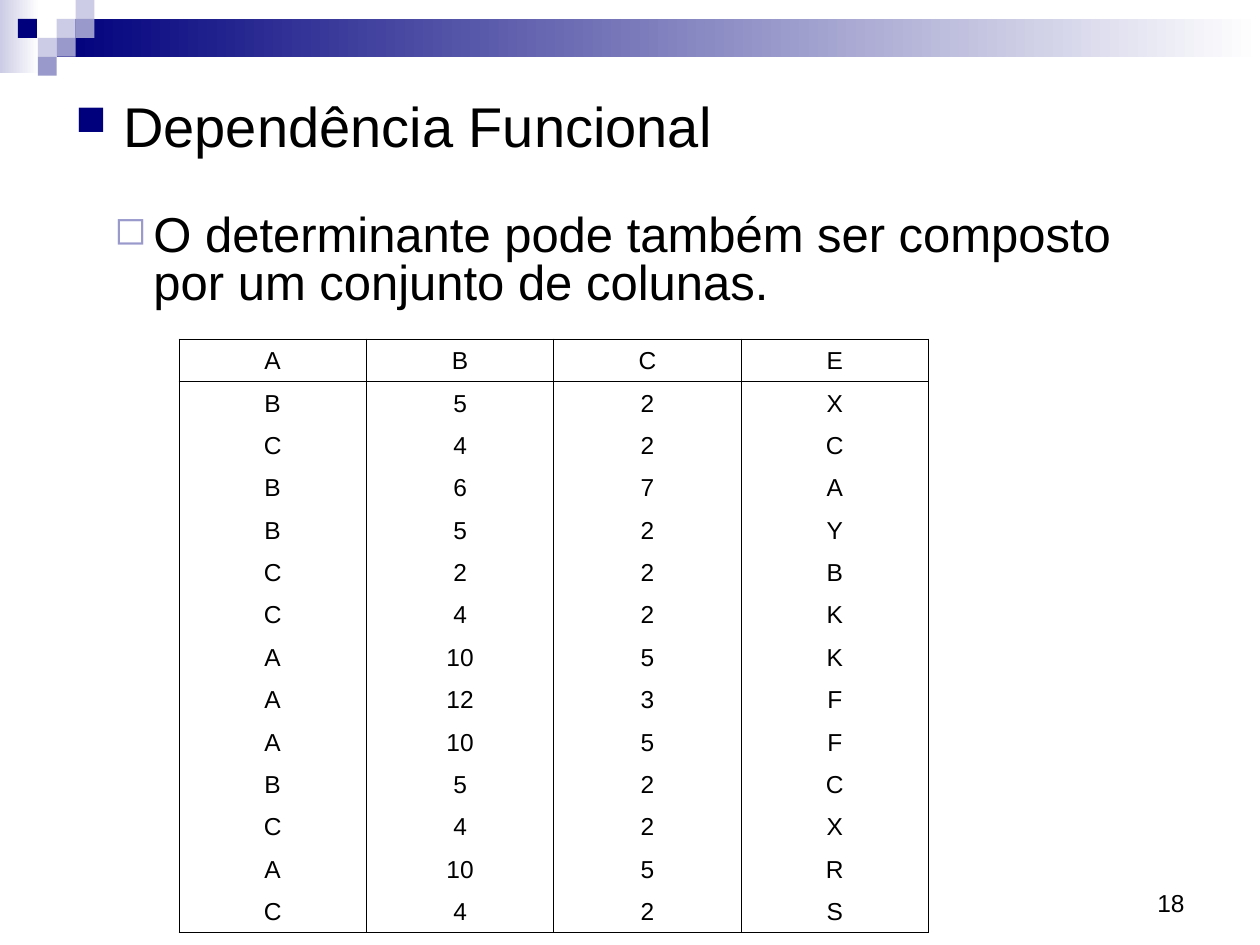
"""Build the slide on functional dependency with a composite determinant."""
import dataclasses
import typing

import pptx
import pptx.dml.color
import pptx.enum.shapes
import pptx.enum.text
import pptx.oxml
import pptx.oxml.ns
import pptx.util

COLOURS = {"navy": "00007D", "mid": "9999CC", "pale": "CCCCE6", "white": "FFFFFF", "black": "000000"}
FONT = "Arial"
WIDTH, HEIGHT = 10, 7.5
UNIT = 0.15
NO_STYLE = "{2D5ABB26-0587-4C30-8999-92F81FD0307C}"
THIN, THICK = 0.45, 0.96
HEADER = "A B C E"
RECORDS = (
    "B 5 2 X", "C 4 2 C", "B 6 7 A", "B 5 2 Y", "C 2 2 B", "C 4 2 K", "A 10 5 K",
    "A 12 3 F", "A 10 5 F", "B 5 2 C", "C 4 2 X", "A 10 5 R", "C 4 2 S",
)
ALIGN = pptx.enum.text.PP_ALIGN
ANCHOR = pptx.enum.text.MSO_ANCHOR


@dataclasses.dataclass(frozen=True)
class Tile:
    column: float
    row: float
    colour: str
    columns: float = 1
    rows: float = 1
    fades: bool = False


@dataclasses.dataclass(frozen=True)
class Bullet:
    symbol: str
    colour: str
    percent: int
    indent: float
    hang: float
    level: int = 0


@dataclasses.dataclass(frozen=True)
class TextBlock:
    left: float
    top: float
    width: float
    height: float
    text: str
    size: int
    align: ALIGN = ALIGN.LEFT
    anchor: ANCHOR = ANCHOR.TOP
    before: int = 0
    spacing: float = 1.0
    bullet: typing.Optional[Bullet] = None


TILES = (
    Tile(0, 0, "pale", 2.07, 3.87, True),
    Tile(3, 1, "navy", WIDTH / UNIT - 3, 2, True),
    Tile(3, 1, "pale"),
    Tile(4, 0, "pale"),
    Tile(4, 1, "mid"),
    Tile(2, 2, "pale"),
    Tile(0.95, 1, "navy"),
    Tile(3, 2, "mid"),
    Tile(2, 3, "mid"),
)
BLOCKS = (
    TextBlock(7.17, 6.83, 2.33, 0.5, "18", 14, ALIGN.RIGHT, ANCHOR.BOTTOM),
    TextBlock(0.5, 0.68, 9.19, 0.94, "Dependência Funcional", 32, before=8,
              bullet=Bullet("■", "navy", 75, 0.38, 0.38)),
    TextBlock(0.31, 1.66, 9.19, 1.42,
              "O determinante pode também ser composto por um conjunto de colunas.",
              28, before=7, spacing=0.8, bullet=Bullet("◻", "mid", 80, 0.81, 0.31, 1)),
)


def rgb(name: str) -> pptx.dml.color.RGBColor:
    return pptx.dml.color.RGBColor.from_string(COLOURS[name])


def draw_tile(page, tile: Tile) -> None:
    lengths = (tile.column, tile.row, tile.columns, tile.rows)
    shape = page.shapes.add_shape(
        pptx.enum.shapes.MSO_SHAPE.RECTANGLE, *(pptx.util.Inches(n * UNIT) for n in lengths))
    shape.shadow.inherit = False
    shape.line.fill.background()
    if tile.fades:
        shape.fill.gradient()
        shape.fill.gradient_angle = 0
        for stop, colour in zip(shape.fill.gradient_stops, (tile.colour, "white")):
            stop.color.rgb = rgb(colour)
    else:
        shape.fill.solid()
        shape.fill.fore_color.rgb = rgb(tile.colour)


def add_span(para, text: str, size: int) -> None:
    span = para.add_run()
    span.text = text
    span.font.name = FONT
    span.font.size = pptx.util.Pt(size)
    span.font.color.rgb = rgb("black")


def set_bullet(para, bullet: Bullet) -> None:
    para.level = bullet.level
    properties = para._p.get_or_add_pPr()
    properties.set("marL", str(pptx.util.Inches(bullet.indent)))
    properties.set("indent", str(-pptx.util.Inches(bullet.hang)))
    space = pptx.oxml.ns.nsdecls("a")
    for markup in (
        f'<a:buClr {space}><a:srgbClr val="{COLOURS[bullet.colour]}"/></a:buClr>',
        f'<a:buSzPct {space} val="{bullet.percent * 1000}"/>',
        f'<a:buChar {space} char="{bullet.symbol}"/>',
    ):
        properties.append(pptx.oxml.parse_xml(markup))


def draw_text(page, block: TextBlock) -> None:
    lengths = (block.left, block.top, block.width, block.height)
    box = page.shapes.add_textbox(*map(pptx.util.Inches, lengths))
    frame = box.text_frame
    frame.word_wrap = True
    frame.vertical_anchor = block.anchor
    para = frame.paragraphs[0]
    para.alignment = block.align
    para.line_spacing = block.spacing
    para.space_before = pptx.util.Pt(block.before)
    if block.bullet:
        set_bullet(para, block.bullet)
    add_span(para, block.text, block.size)


def set_border(cell, side: str, points: float) -> None:
    space = pptx.oxml.ns.nsdecls("a")
    paint = f'<a:solidFill><a:srgbClr val="{COLOURS["black"]}"/></a:solidFill>' if points else "<a:noFill/>"
    cell._tc.get_or_add_tcPr().append(pptx.oxml.parse_xml(
        f'<a:ln{side} {space} w="{pptx.util.Pt(points)}">{paint}</a:ln{side}>'))


def draw_table(page, records: typing.Sequence[typing.Sequence[str]]) -> None:
    lengths = map(pptx.util.Inches, (1.42, 2.69, 5.95, 4.71))
    table = page.shapes.add_table(len(records), len(records[0]), *lengths).table
    table.first_row = table.horz_banding = False
    table._tbl.tblPr.find(pptx.oxml.ns.qn("a:tableStyleId")).text = NO_STYLE
    rules = [THIN, THICK] + [0] * (len(records) - 2) + [THIN]
    for row, record in enumerate(records):
        table.rows[row].height = pptx.util.Inches(4.71 / len(records))
        for column, value in enumerate(record):
            cell = table.cell(row, column)
            for side, points in zip("LRTB", (THIN, THIN, rules[row], rules[row + 1])):
                set_border(cell, side, points)
            cell.fill.background()
            cell.vertical_anchor = ANCHOR.BOTTOM
            para = cell.text_frame.paragraphs[0]
            para.alignment = ALIGN.CENTER
            add_span(para, value, 14)


def main() -> None:
    deck = pptx.Presentation()
    deck.slide_width = pptx.util.Inches(WIDTH)
    deck.slide_height = pptx.util.Inches(HEIGHT)
    page = deck.slides.add_slide(deck.slide_layouts[6])
    for tile in TILES:
        draw_tile(page, tile)
    for block in BLOCKS:
        draw_text(page, block)
    draw_table(page, [line.split() for line in (HEADER, *RECORDS)])
    deck.save("out.pptx")


if __name__ == "__main__":
    main()
